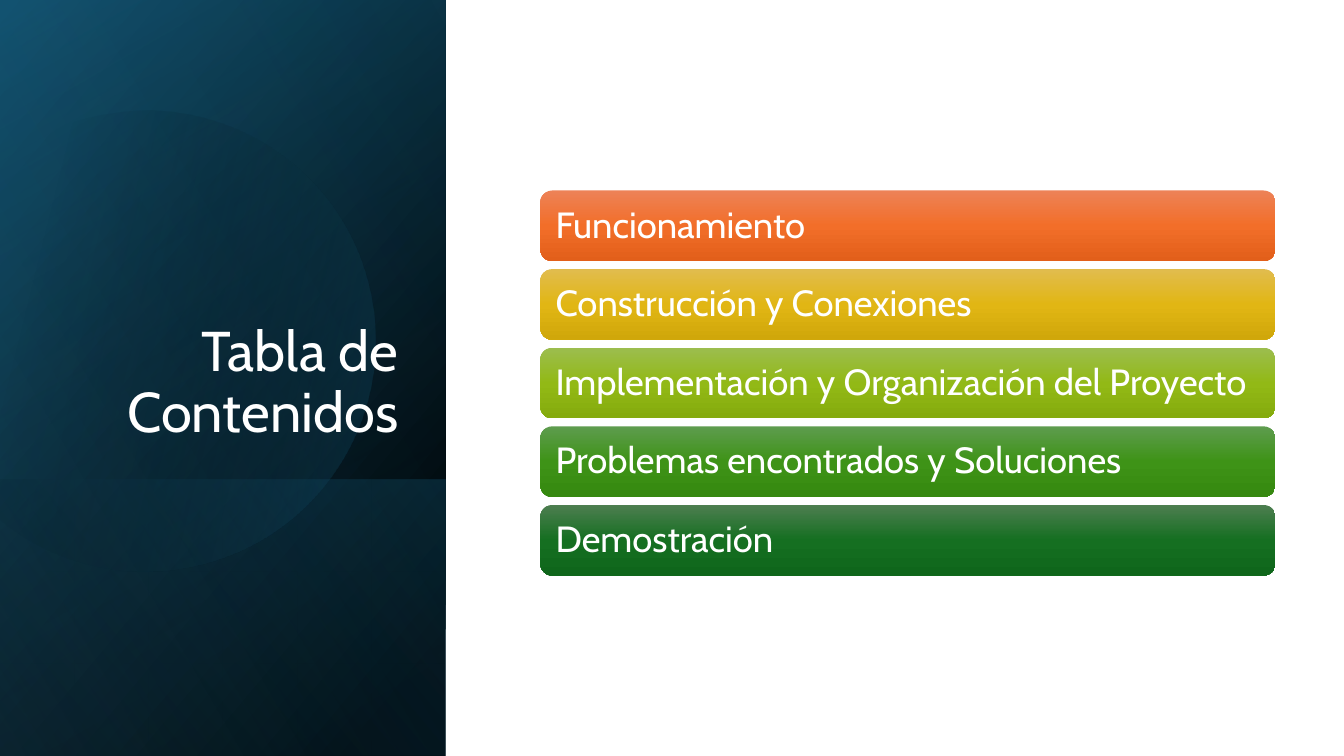
from math import cos, radians, sin

from lxml import etree
from pptx import Presentation
from pptx.dml.color import RGBColor
from pptx.enum.shapes import MSO_SHAPE
from pptx.enum.text import MSO_ANCHOR, MSO_AUTO_SIZE, PP_ALIGN
from pptx.oxml.ns import qn
from pptx.util import Inches, Pt

RECTANGLE = MSO_SHAPE.RECTANGLE
ROUNDED = MSO_SHAPE.ROUNDED_RECTANGLE
LEFT, RIGHT = PP_ALIGN.LEFT, PP_ALIGN.RIGHT
MIDDLE, BOTTOM = MSO_ANCHOR.MIDDLE, MSO_ANCHOR.BOTTOM
NO_AUTOFIT = MSO_AUTO_SIZE.NONE

COLORS = {
    "white": "FFFFFF",
    "black": "000000",
    "navy": "104862",
    "teal": "156082",
    "sky": "46B1E1",
}


def paint_gradient(shape, stops, angle):
    shape.shadow.inherit = False
    shape.line.fill.background()
    shape.fill.gradient()
    gradient = shape.element.spPr.find(qn("a:gradFill"))
    stop_list = gradient.find(qn("a:gsLst"))
    for old_stop in list(stop_list):
        stop_list.remove(old_stop)
    for position, color, opacity in stops:
        stop = etree.SubElement(stop_list, qn("a:gs"), pos=str(position * 1000))
        tint = etree.SubElement(stop, qn("a:srgbClr"), val=color)
        if opacity < 100:
            etree.SubElement(tint, qn("a:alpha"), val=str(opacity * 1000))
    gradient.find(qn("a:lin")).set("ang", str(angle * 60000))


def write_text(shape, text, size, alignment, anchor):
    frame = shape.text_frame
    frame.text = text
    frame.word_wrap = True
    frame.auto_size = NO_AUTOFIT
    frame.vertical_anchor = anchor
    paragraph = frame.paragraphs[0]
    paragraph.alignment = alignment
    paragraph.line_spacing = 0.9
    font = paragraph.runs[0].font
    font.name = "Cabin"
    font.size = Pt(size)
    font.color.rgb = RGBColor.from_string(COLORS["white"])


prs = Presentation()
prs.slide_width = Inches(13.33)
prs.slide_height = Inches(7.5)
slide = prs.slides.add_slide(prs.slide_layouts[5])
shapes = slide.shapes

black, navy, teal, sky = (COLORS[name] for name in ("black", "navy", "teal", "sky"))
full_panel = (-1.54, 1.54, 7.5, 4.42)
lower_panel = (0.84, 3.92, 2.74, 4.42)
panel_layers = [
    (full_panel, [(8, black, 100), (100, navy, 100)], 50),
    (full_panel, [(0, black, 0), (99, teal, 46)], 30),
    (lower_panel, [(2, teal, 29), (100, black, 30)], 130),
    (full_panel, [(0, black, 0), (99, sky, 11)], 120),
]
panels = []
for box, stops, angle in panel_layers:
    panel = shapes.add_shape(RECTANGLE, *map(Inches, box))
    panel.rotation = 90
    panel.element.spPr.find(qn("a:xfrm")).set("flipH", "1")
    paint_gradient(panel, stops, angle)
    panels.append(panel)

tilt = 16.1
center_x, center_y = 1.59, 3.35
disc_points = [
    (1.49, 1.1),
    (2.46, 1.12), (3.35, 1.77), (3.63, 2.75),
    (3.98, 3.97), (3.28, 5.23), (2.07, 5.58),
    (1.31, 5.8), (0.53, 5.61), (-0.03, 5.14),
    (-0.15, 5.03), (-0.15, 1.75), (0, 1.61),
    (0.23, 1.42), (0.5, 1.28), (0.8, 1.19),
    (1.03, 1.13), (1.26, 1.1), (1.49, 1.1),
]
turn_x, turn_y = cos(radians(tilt)), sin(radians(tilt))
turned = []
for x, y in disc_points:
    dx, dy = x - center_x, y - center_y
    turned.append((
        Inches(center_x + dx * turn_x - dy * turn_y),
        Inches(center_y + dx * turn_y + dy * turn_x),
    ))
outline = shapes.build_freeform(*turned[0])
outline.add_line_segments(turned[1:], close=True)
disc = outline.convert_to_shape()
segments = list(disc.element.iter(qn("a:lnTo")))
for first in (0, 3, 6, 12, 15):
    curve = etree.Element(qn("a:cubicBezTo"))
    segments[first].addprevious(curve)
    for segment in segments[first:first + 3]:
        curve.append(segment[0])
        segment.getparent().remove(segment)
disc.rotation = 360 - tilt
paint_gradient(disc, [(29, black, 0), (100, teal, 43)], 30)
panels[-1].element.addprevious(disc.element)

title = shapes.title
title.left, title.top, title.width, title.height = map(Inches, (0.64, 1.84, 3.41, 2.62))
write_text(title, "Tabla de Contenidos", 40, RIGHT, BOTTOM)
panels[-1].element.addnext(title.element)

topics = [
    ("Funcionamiento", ("ED8257", "F26E29", "E25F1A")),
    ("Construcción y Conexiones", ("E1BC4E", "E1B614", "D0A70A")),
    ("Implementación y Organización del Proyecto", ("9CBD4E", "92B916", "85AB0D")),
    ("Problemas encontrados y Soluciones", ("5E9C4E", "3E9317", "35880F")),
    ("Demostración", ("4D7E50", "156F21", "0F661B")),
]
agenda = shapes.add_group_shape().shapes
for row, (topic, shades) in enumerate(topics):
    top = 1.89 + 0.78 * row
    bar = agenda.add_shape(ROUNDED, Inches(5.36), Inches(top), Inches(7.29), Inches(0.7))
    paint_gradient(bar, [(50 * i, shade, 100) for i, shade in enumerate(shades)], 90)
    label = agenda.add_textbox(Inches(5.4), Inches(top + 0.04), Inches(7.22), Inches(0.63))
    write_text(label, topic, 26, LEFT, MIDDLE)
    for side in ("left", "right", "top", "bottom"):
        setattr(label.text_frame, f"margin_{side}", Inches(0.11))

prs.save("out.pptx")
